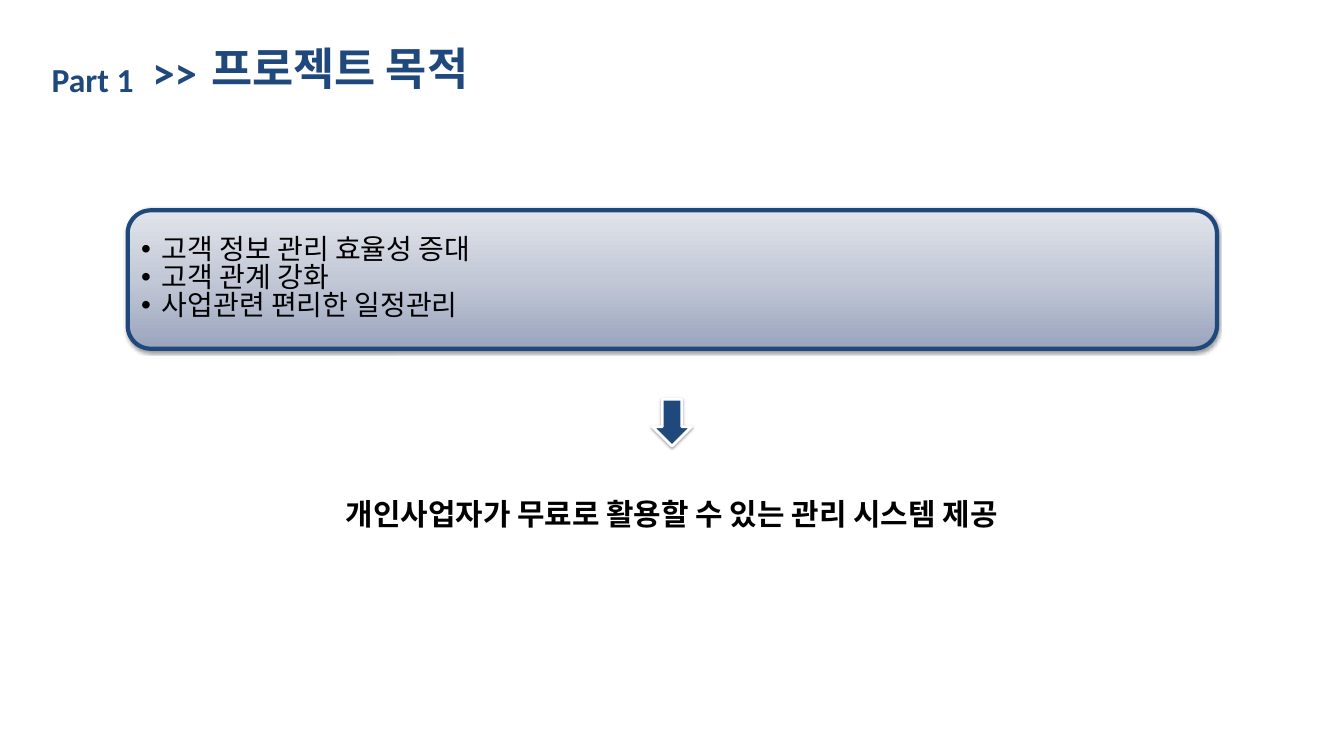
from lxml.etree import SubElement
from pptx import Presentation
from pptx.dml.color import RGBColor
from pptx.enum.shapes import MSO_SHAPE
from pptx.enum.text import MSO_ANCHOR, MSO_AUTO_SIZE, PP_ALIGN
from pptx.oxml import parse_xml
from pptx.oxml.ns import nsdecls, qn
from pptx.util import Inches, Pt

NAVY = "1F497D"
KOREAN = "Noto Sans CJK KR"
GOALS = ["고객 정보 관리 효율성 증대", "고객 관계 강화", "사업관련 편리한 일정관리"]


def color(code):
    return RGBColor.from_string(code)


def add_bullet(para):
    props = para._p.get_or_add_pPr()
    props.set("marL", str(Inches(0.31)))
    props.set("indent", str(Inches(-0.31)))
    SubElement(props, qn("a:buFont"), typeface="Arial")
    SubElement(props, qn("a:buChar"), char="•")


def write(shape, lines, size, face=KOREAN, ink=NAVY, bold=True, align=PP_ALIGN.LEFT,
          anchor=MSO_ANCHOR.TOP, wrap=True, grow=False, space=None, bullet=False):
    frame = shape.text_frame
    frame.word_wrap = wrap
    frame.vertical_anchor = anchor
    frame.auto_size = MSO_AUTO_SIZE.SHAPE_TO_FIT_TEXT if grow else MSO_AUTO_SIZE.NONE
    frame.text = "\n".join(lines)
    for para in frame.paragraphs:
        para.alignment = align
        para.space_before = Pt(0)
        if space:
            para.line_spacing = space
        if bullet:
            add_bullet(para)
        font = para.runs[0].font
        font.size = Pt(size)
        font.bold = bold
        font.color.rgb = color(ink)
        font.name = face
        SubElement(font._element, qn("a:ea"), typeface=face)


def place(shape, left, top, width, height):
    shape.left, shape.top = Inches(left), Inches(top)
    shape.width, shape.height = Inches(width), Inches(height)


def add_label(slide, box, text, size, **style):
    label = slide.shapes.add_textbox(*map(Inches, box))
    write(label, [text], size, **style)


def add_shadow(shape):
    shape.shadow.inherit = False
    effects = shape._element.spPr.find(qn("a:effectLst"))
    effects.append(parse_xml(
        f'<a:outerShdw {nsdecls("a")} blurRad="{Pt(3.1)}" dist="{Pt(1.6)}" '
        'dir="5400000" rotWithShape="0"><a:srgbClr val="000000">'
        '<a:alpha val="38000"/></a:srgbClr></a:outerShdw>'))


def add_block(slide, kind, box, line, weight):
    block = slide.shapes.add_shape(kind, *map(Inches, box))
    block.line.color.rgb = color(line)
    block.line.width = Pt(weight)
    add_shadow(block)
    return block


def shade(shape, tones):
    shape.fill.gradient()
    shape.fill.gradient_angle = 90
    stops = shape._element.spPr.find(qn("a:gradFill")).find(qn("a:gsLst"))
    for stop in list(stops):
        stops.remove(stop)
    for rank, tone in enumerate(tones):
        stop = SubElement(stops, qn("a:gs"), pos=str(rank * 50000))
        SubElement(stop, qn("a:srgbClr"), val=tone)


def main():
    deck = Presentation()
    deck.slide_width, deck.slide_height = Inches(20), Inches(11.25)
    slide = deck.slides.add_slide(deck.slide_layouts[5])

    title = slide.shapes.title
    place(title, 3.04, 0.64, 4.19, 0.91)
    write(title, ["프로젝트 목적"], 48, wrap=False, grow=True, space=0.9)
    add_label(slide, (2.17, 0.62, 0.87, 0.91), ">>", 48, face="Calibri",
              wrap=False, grow=True)
    add_label(slide, (0.67, 0.83, 1.65, 0.71), "Part 1", 36, face="Calibri", grow=True)
    add_label(slide, (1.71, 7.39, 16.58, 1.73), "개인사업자가 무료로 활용할 수 있는 관리 시스템 제공",
              32, ink="000000", align=PP_ALIGN.CENTER, space=0.9)

    panel = add_block(slide, MSO_SHAPE.ROUNDED_RECTANGLE, (1.9, 3.13, 16.21, 2.06), NAVY, 4.5)
    shade(panel, ["9AA4BE", "C2C8D6", "E2E4EA"])
    write(panel, GOALS, 30, ink="000000", bold=False, anchor=MSO_ANCHOR.MIDDLE,
          space=0.83, bullet=True)

    arrow = add_block(slide, MSO_SHAPE.DOWN_ARROW, (9.71, 5.94, 0.58, 0.7), "FFFFFF", 3)
    arrow.fill.solid()
    arrow.fill.fore_color.rgb = color(NAVY)
    deck.save("out.pptx")


if __name__ == "__main__":
    main()
